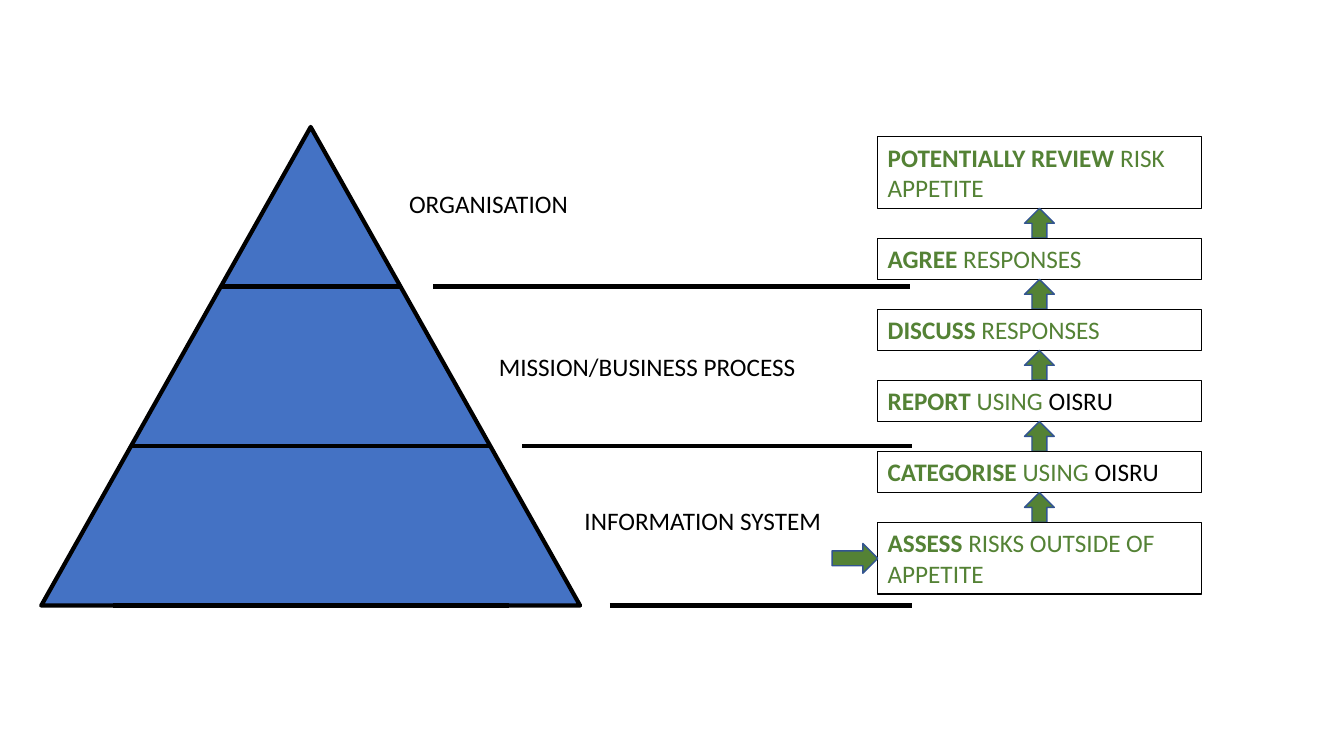
from lxml.etree import SubElement
from pptx import Presentation
from pptx.dml.color import RGBColor
from pptx.enum.shapes import MSO_CONNECTOR, MSO_SHAPE
from pptx.enum.text import MSO_AUTO_SIZE
from pptx.oxml.ns import qn
from pptx.util import Cm, Pt

BLACK, GREEN, BLUE, ARROW_EDGE = "000000", "548235", "4472C4", "325491"

# Label, label left and top, side rule start and end (cm)
LEVELS = [
    ("ORGANISATION", 10.06, 4.62, 10.92, 22.94),
    ("MISSION/BUSINESS PROCESS", 12.32, 8.74, 13.16, 22.99),
    ("INFORMATION SYSTEM", 14.48, 12.6, 15.37, 22.99),
]
# Steps from top to bottom: number of text lines, then (text, bold, colour) runs
STEPS = [
    (2, [("POTENTIALLY REVIEW ", True, GREEN), ("RISK APPETITE", False, GREEN)]),
    (1, [("AGREE", True, GREEN), (" RESPONSES", False, GREEN)]),
    (1, [("DISCUSS", True, GREEN), (" RESPONSES", False, GREEN)]),
    (1, [("REPORT", True, GREEN), (" USING ", False, GREEN), ("OISRU", False, BLACK)]),
    (1, [("CATEGORISE", True, GREEN), (" USING ", False, GREEN), ("OISRU", False, BLACK)]),
    (2, [("ASSESS", True, GREEN), (" RISKS OUTSIDE OF APPETITE", False, GREEN)]),
]
PYRAMID_LEFT, PYRAMID_TOP, PYRAMID_WIDTH, LEVEL_HEIGHT = 1.04, 3.2, 13.58, 4.02
BASE_INSET = 1.8
BOX_WIDTH = 8.15
BOX_HEIGHTS = {1: 1.03, 2: 1.8}
STEPS_LEFT, STEPS_TOP, STEP_GAP = 22.12, 3.45, 0.76
ARROW_SIZE, ENTRY_WIDTH = 0.75, 1.15


def color(value):
    return RGBColor.from_string(value)


def add_line(page, start, end, y):
    line = page.shapes.add_connector(MSO_CONNECTOR.STRAIGHT, Cm(start), Cm(y), Cm(end), Cm(y))
    line.line.color.rgb = color(BLACK)
    line.line.width = Pt(3)
    SubElement(line._element.spPr, qn("a:effectLst"))


def add_filled(page, kind, left, top, width, height, fill, edge, edge_width):
    shape = page.shapes.add_shape(kind, Cm(left), Cm(top), Cm(width), Cm(height))
    shape.shadow.inherit = False
    shape.fill.solid()
    shape.fill.fore_color.rgb = color(fill)
    shape.line.color.rgb = color(edge)
    shape.line.width = Pt(edge_width)
    return shape


def add_arrow(page, left, top, width):
    return add_filled(page, MSO_SHAPE.RIGHT_ARROW, left, top, width, ARROW_SIZE,
                      GREEN, ARROW_EDGE, 1)


def add_text(page, left, top, height, runs):
    box = page.shapes.add_textbox(Cm(left), Cm(top), Cm(BOX_WIDTH), Cm(height))
    box.text_frame.word_wrap = True
    box.text_frame.auto_size = MSO_AUTO_SIZE.SHAPE_TO_FIT_TEXT
    para = box.text_frame.paragraphs[0]
    for text, bold, text_color in runs:
        span = para.add_run()
        span.text = text
        span.font.name = "Calibri"
        span.font.size = Pt(18)
        span.font.bold = bold
        span.font.color.rgb = color(text_color)
    return box


def draw_pyramid(page):
    add_filled(page, MSO_SHAPE.ISOSCELES_TRIANGLE, PYRAMID_LEFT, PYRAMID_TOP, PYRAMID_WIDTH,
               LEVEL_HEIGHT * len(LEVELS), BLUE, BLACK, 3)
    center = PYRAMID_LEFT + PYRAMID_WIDTH / 2
    for number, (label, left, top, start, end) in enumerate(LEVELS, 1):
        y = PYRAMID_TOP + number * LEVEL_HEIGHT
        half = PYRAMID_WIDTH / 2 * number / len(LEVELS)
        if number == len(LEVELS):
            half -= BASE_INSET
        add_line(page, center - half, center + half, y)
        add_line(page, start, end, y)
        add_text(page, left, top, BOX_HEIGHTS[1], [(label, False, BLACK)])


def draw_steps(page):
    top = STEPS_TOP
    for index, (lines, runs) in enumerate(STEPS):
        height = BOX_HEIGHTS[lines]
        box = add_text(page, STEPS_LEFT, top, height, runs)
        box.line.color.rgb = color(BLACK)
        box.line.width = Pt(0.75)
        if index < len(STEPS) - 1:
            arrow = add_arrow(page, STEPS_LEFT + (BOX_WIDTH - ARROW_SIZE) / 2,
                              top + height, ARROW_SIZE)
            arrow.rotation = 270
        else:
            add_arrow(page, STEPS_LEFT - ENTRY_WIDTH, top + (height - ARROW_SIZE) / 2,
                      ENTRY_WIDTH)
        top += height + STEP_GAP


def main():
    deck = Presentation()
    deck.slide_width, deck.slide_height = Cm(33.87), Cm(19.05)
    page = deck.slides.add_slide(deck.slide_layouts[6])
    draw_pyramid(page)
    draw_steps(page)
    deck.save("out.pptx")


if __name__ == "__main__":
    main()
